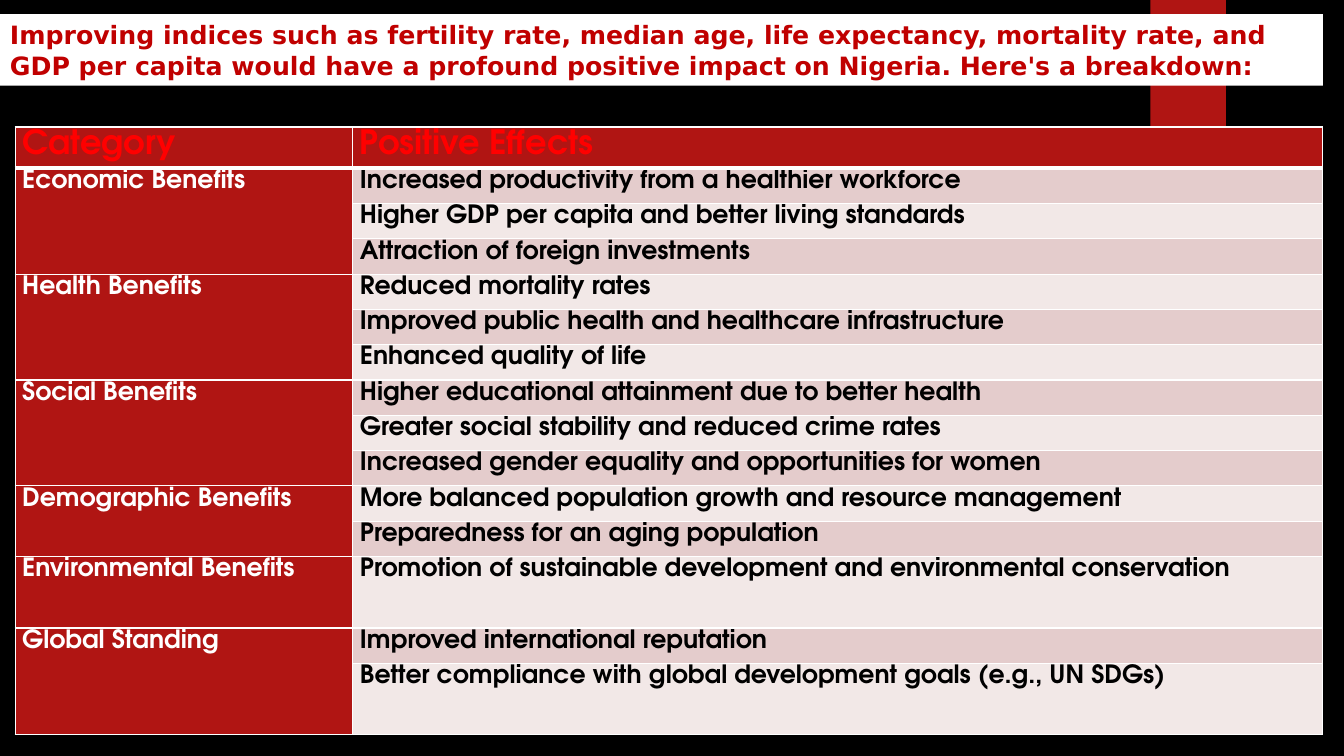
from lxml import etree
from pptx import Presentation
from pptx.dml.color import RGBColor
from pptx.enum.shapes import MSO_SHAPE
from pptx.enum.text import MSO_ANCHOR, PP_ALIGN
from pptx.oxml.ns import qn
from pptx.util import Inches, Pt

RECT = MSO_SHAPE.RECTANGLE
TOP, MIDDLE = MSO_ANCHOR.TOP, MSO_ANCHOR.MIDDLE
LEFT = PP_ALIGN.LEFT

BLACK = RGBColor(0x00, 0x00, 0x00)
WHITE = RGBColor(0xFF, 0xFF, 0xFF)
BRICK = RGBColor(0xB0, 0x15, 0x13)
CRIMSON = RGBColor(0xC0, 0x00, 0x00)
RED = RGBColor(0xFF, 0x00, 0x00)
ROSE = RGBColor(0xE4, 0xCC, 0xCC)
BLUSH = RGBColor(0xF2, 0xE8, 0xE7)

WIDE, HIGH = 13.33, 7.5
ROW, TALL, HEAD = 0.35, 0.71, 0.41
COLS = (3.35, 9.62)

TITLE = ("Improving indices such as fertility rate, median age, life expectancy, "
         "mortality rate, and GDP per capita would have a profound positive impact "
         "on Nigeria. Here's a breakdown:")
HEADS = ("Category", "Positive Effects")
GROUPS = (
    ("Economic Benefits", (
        ("Increased productivity from a healthier workforce", ROW),
        ("Higher GDP per capita and better living standards", ROW),
        ("Attraction of foreign investments", ROW))),
    ("Health Benefits", (
        ("Reduced mortality rates", ROW),
        ("Improved public health and healthcare infrastructure", ROW),
        ("Enhanced quality of life", ROW))),
    ("Social Benefits", (
        ("Higher educational attainment due to better health", ROW),
        ("Greater social stability and reduced crime rates", ROW),
        ("Increased gender equality and opportunities for women", ROW))),
    ("Demographic Benefits", (
        ("More balanced population growth and resource management", ROW),
        ("Preparedness for an aging population", ROW))),
    ("Environmental Benefits", (
        ("Promotion of sustainable development and environmental conservation", TALL),)),
    ("Global Standing", (
        ("Improved international reputation", ROW),
        ("Better compliance with global development goals (e.g., UN SDGs)", TALL))),
)


def apply(item, style):
    for name, value in style.items():
        setattr(item, name, value)


class Deck:
    title = {"name": "DejaVu Sans", "size": Pt(18), "bold": True}
    body = {"name": "TeX Gyre Adventor", "size": Pt(18), "bold": True}
    head = {**body, "size": Pt(24)}
    inset = {"margin_left": Inches(0.07), "margin_right": Inches(0.07),
             "margin_top": 0, "margin_bottom": 0, "vertical_anchor": TOP}

    def __init__(self):
        self.file = Presentation()
        apply(self.file, {"slide_width": Inches(WIDE), "slide_height": Inches(HIGH)})
        self.slide = self.file.slides.add_slide(self.file.slide_layouts[6])
        self.paint(self.slide.background, BLACK)

    def paint(self, item, color):
        item.fill.solid()
        item.fill.fore_color.rgb = color

    def label(self, frame, text, style, color, gap=1.0):
        par = frame.paragraphs[0]
        apply(par, {"alignment": LEFT, "line_spacing": gap})
        run = par.add_run()
        run.text = text
        apply(run.font, style)
        run.font.color.rgb = color

    def block(self, box, color):
        shape = self.slide.shapes.add_shape(RECT, *map(Inches, box))
        shape.shadow.inherit = False
        self.paint(shape, color)
        shape.line.fill.background()
        return shape

    def banner(self, box, text):
        frame = self.block(box, WHITE).text_frame
        apply(frame, {"word_wrap": True, "vertical_anchor": MIDDLE})
        self.label(frame, text, self.title, CRIMSON)

    def edge(self, cell, row):
        props = cell._tc.get_or_add_tcPr()
        thick = {"lnL": 1, "lnR": 1, "lnT": 3 if row == 1 else 1,
                 "lnB": 3 if row == 0 else 1}
        for side, size in thick.items():
            line = etree.SubElement(props, qn("a:" + side), w=str(Pt(size)))
            fill = etree.SubElement(line, qn("a:solidFill"))
            etree.SubElement(fill, qn("a:srgbClr"), val=str(WHITE))

    def table(self, left, top, cols, heads, groups):
        highs = [HEAD] + [high for _, items in groups for _, high in items]
        box = (left, top, sum(cols), sum(highs))
        grid = self.slide.shapes.add_table(
            len(highs), len(cols), *map(Inches, box)).table
        for col, wide in zip(grid.columns, cols):
            col.width = Inches(wide)
        for row, high in enumerate(highs):
            grid.rows[row].height = Inches(high)
            band = ROSE if row % 2 else BLUSH
            for col in range(len(cols)):
                cell = grid.cell(row, col)
                apply(cell, self.inset)
                self.edge(cell, row)
                self.paint(cell, band if row and col else BRICK)
        for col, text in enumerate(heads):
            self.label(grid.cell(0, col).text_frame, text, self.head, RED, 1.07)
        row = 1
        for name, items in groups:
            first = grid.cell(row, 0)
            if len(items) > 1:
                first.merge(grid.cell(row + len(items) - 1, 0))
            self.label(first.text_frame, name, self.body, WHITE, 1.07)
            for text, _ in items:
                self.label(grid.cell(row, 1).text_frame, text, self.body, BLACK, 1.07)
                row += 1


def main():
    deck = Deck()
    deck.block((11.41, 0, 0.75, 1.25), BRICK)
    deck.banner((0, 0.14, 13.12, 0.71), TITLE)
    deck.table(0.15, 1.26, COLS, HEADS, GROUPS)
    deck.file.save("out.pptx")


if __name__ == "__main__":
    main()
